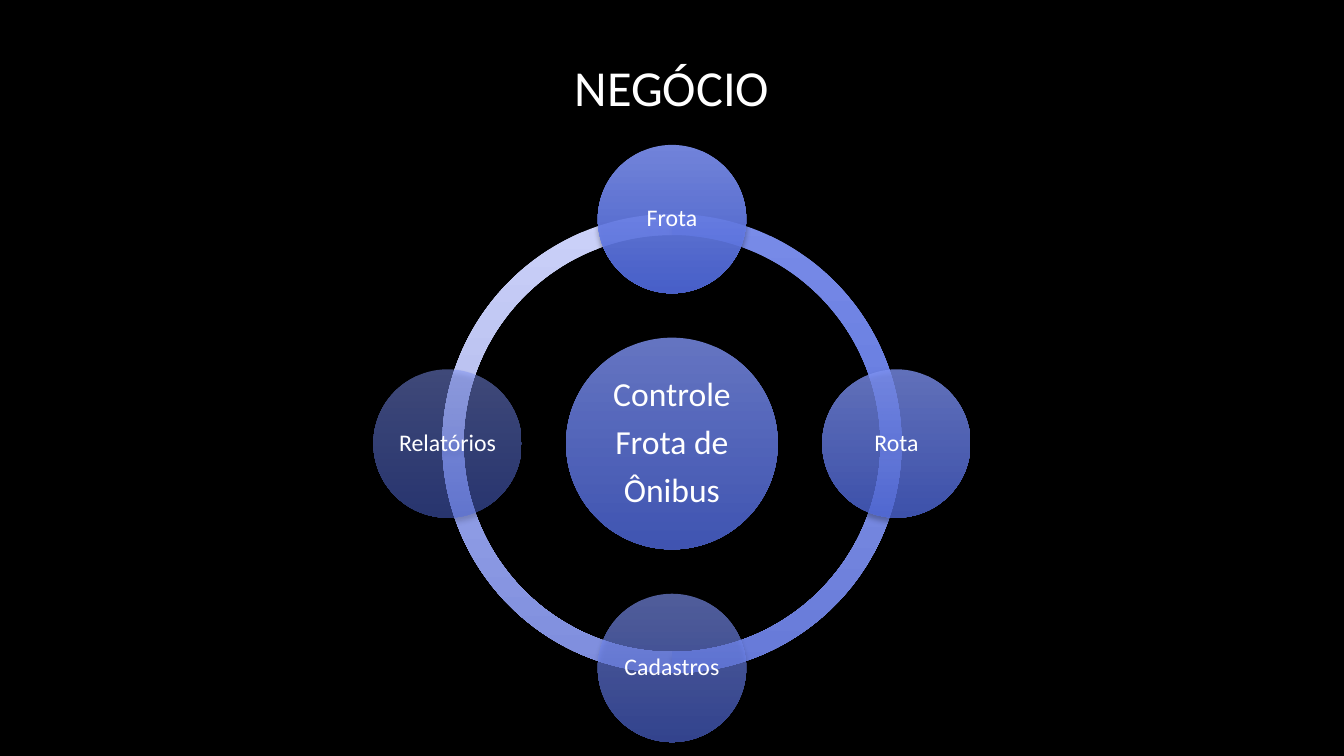
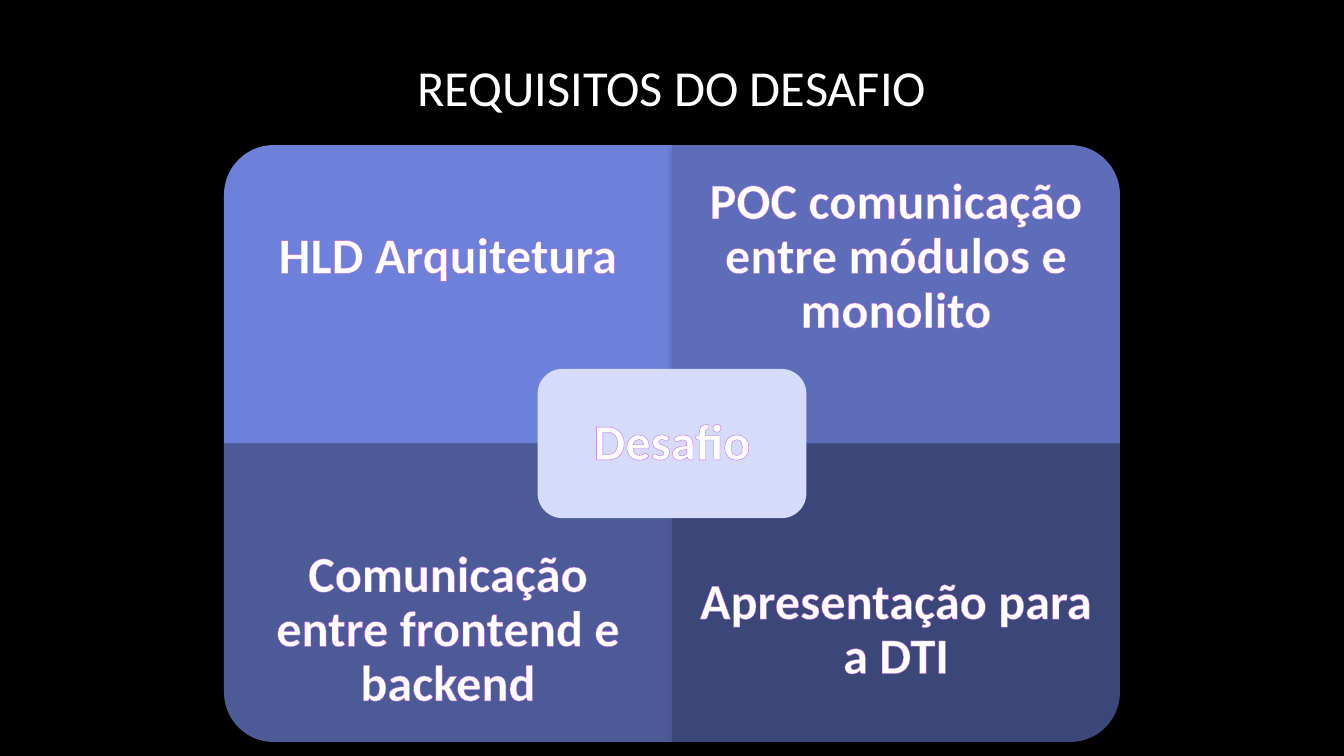
import dataclasses
import math

import lxml.etree
import pptx
import pptx.dml.color
import pptx.enum.shapes
import pptx.enum.text
import pptx.oxml.ns
import pptx.util

Pt = pptx.util.Pt
Shapes = pptx.enum.shapes.MSO_SHAPE
qn = pptx.oxml.ns.qn


@dataclasses.dataclass(frozen=True)
class Theme:
    font: str = "Calibri"
    background: str = "000000"
    text: str = "FFFFFF"
    outline: str = "C363E8"
    shadow: str = "000000"
    sphere: tuple = ("7E92F2", "506ADE")
    quadrant: str = "798FF2"
    core: str = "D7DBFA"
    # Ring quarters, clockwise from the right-hand point
    ring: tuple = (("93A2EE", "6679D8"), ("AFBAF4", "7E8DDD"),
                   ("CCD2F9", "99A3DF"), ("798CE8", "4E66D3"))
    heading_size: int = 36
    hub_size: int = 24
    satellite_size: int = 17


THEME = Theme()
WIDTH, HEIGHT = 960, 540
CENTER_X, CENTER_Y = WIDTH / 2, 316.8
OPACITIES = (90, 77, 63, 50)


def color(value):
    return pptx.dml.color.RGBColor.from_string(value)


def add_xml(parent, tag, **attributes):
    return lxml.etree.SubElement(
        parent, qn(tag), {name: str(value) for name, value in attributes.items()})


class Deck:
    def __init__(self, theme):
        self.theme = theme
        self.presentation = pptx.Presentation()
        self.presentation.slide_width = Pt(WIDTH)
        self.presentation.slide_height = Pt(HEIGHT)
        self.slide = None

    def add_slide(self, title):
        self.slide = self.presentation.slides.add_slide(
            self.presentation.slide_layouts[6])
        fill = self.slide.background.fill
        fill.solid()
        fill.fore_color.rgb = color(self.theme.background)
        box = self.text_box(CENTER_X, 62, 582, 100)
        self.add_text(box, [title], self.theme.heading_size, spaced=False)

    def text_box(self, center_x, center_y, width, height):
        return self.slide.shapes.add_textbox(
            Pt(center_x - width / 2), Pt(center_y - height / 2),
            Pt(width), Pt(height))

    def shape(self, kind, center_x, center_y, width, height, colors,
              opacity=100, shadow=True):
        """Add a borderless shape; two colors make a top-to-bottom gradient."""
        shape = self.slide.shapes.add_shape(
            kind, Pt(center_x - width / 2), Pt(center_y - height / 2),
            Pt(width), Pt(height))
        if len(colors) == 2:
            shape.fill.gradient()
            shape.fill.gradient_angle = 270
            for stop, value in zip(shape.fill.gradient_stops, colors):
                stop.color.rgb = color(value)
        else:
            shape.fill.solid()
            shape.fill.fore_color.rgb = color(colors[0])
        properties = shape._element.spPr
        if opacity < 100:
            for node in list(properties.iter(qn("a:srgbClr"))):
                add_xml(node, "a:alpha", val=opacity * 1000)
        shape.line.fill.background()
        shape.shadow.inherit = False
        if shadow:
            outer = add_xml(properties.find(qn("a:effectLst")), "a:outerShdw",
                            blurRad=Pt(4), dist=Pt(3), dir=90 * 60000,
                            rotWithShape=0)
            shade = add_xml(outer, "a:srgbClr", val=self.theme.shadow)
            add_xml(shade, "a:alpha", val=35000)
        return shape

    def add_text(self, shape, lines, size, inset=None, outlined=False, spaced=True):
        frame = shape.text_frame
        frame.word_wrap = True
        frame.vertical_anchor = pptx.enum.text.MSO_ANCHOR.MIDDLE
        if inset is not None:
            frame.margin_left = frame.margin_right = Pt(inset)
            frame.margin_top = frame.margin_bottom = Pt(inset)
        for index, line in enumerate(lines):
            paragraph = frame.add_paragraph() if index else frame.paragraphs[0]
            paragraph.alignment = pptx.enum.text.PP_ALIGN.CENTER
            if spaced:
                paragraph.line_spacing = 0.9
                paragraph.space_after = Pt(0.35 * size)
            run = paragraph.add_run()
            run.text = line
            run.font.name = self.theme.font
            run.font.size = Pt(size)
            run.font.color.rgb = color(self.theme.text)
            if outlined:
                run.font.bold = True
                self.outline(run)

    def outline(self, run):
        properties = run._r.get_or_add_rPr()
        line = add_xml(properties, "a:ln", w=Pt(0.8))
        add_xml(add_xml(line, "a:solidFill"), "a:srgbClr", val=self.theme.outline)
        properties.insert(0, line)

    def ring_quarter(self, start, colors):
        arc = self.shape(Shapes.BLOCK_ARC, CENTER_X, CENTER_Y, 328, 328, colors)
        # Angle adjustments count 0.6 per degree
        arc.adjustments[0] = start * 0.6
        arc.adjustments[1] = (start + 90) % 360 * 0.6
        arc.adjustments[2] = 0.046

    def sphere(self, center_x, center_y, diameter, lines, size, opacity):
        circle = self.shape(Shapes.OVAL, center_x, center_y, diameter, diameter,
                            self.theme.sphere, opacity)
        self.add_text(circle, lines, size, inset=1.5)

    def quadrant(self, side, level, rotation, label, opacity):
        """Add a matrix cell; side and level are -1 or 1 from the center."""
        width, height = 320, 213.2
        center_x = CENTER_X + side * width / 2
        center_y = CENTER_Y + level * height / 2
        size = (height, width) if rotation % 180 else (width, height)
        cell = self.shape(Shapes.ROUND_1_RECTANGLE, center_x, center_y, *size,
                          [self.theme.quadrant], opacity)
        cell.rotation = rotation
        # The label takes the outer three quarters of the cell
        box = self.text_box(center_x, center_y + level * height / 8,
                            width, height * 0.75)
        self.add_text(box, [label], self.theme.heading_size, 20, outlined=True)

    def core(self, label):
        shape = self.shape(Shapes.ROUNDED_RECTANGLE, CENTER_X, CENTER_Y,
                           192, 106.6, [self.theme.core], shadow=False)
        self.add_text(shape, [label], self.theme.heading_size, 10.8, outlined=True)


def build_business(deck):
    deck.add_slide("NEGÓCIO")
    for quarter in (2, 1, 0, 3):
        deck.ring_quarter(quarter * 90, deck.theme.ring[quarter])
    deck.sphere(CENTER_X, CENTER_Y, 151.2, ["Controle", "Frota de", "Ônibus"],
                deck.theme.hub_size, 80)
    orbit = 160.3
    labels = ("Frota", "Rota", "Cadastros", "Relatórios")
    for index, (label, opacity) in enumerate(zip(labels, OPACITIES)):
        angle = math.radians(index * 90 - 90)
        deck.sphere(CENTER_X + orbit * math.cos(angle),
                    CENTER_Y + orbit * math.sin(angle),
                    106, [label], deck.theme.satellite_size, opacity)


def build_requirements(deck):
    deck.add_slide("REQUISITOS DO DESAFIO")
    cells = (
        (-1, -1, 270, "HLD Arquitetura"),
        (1, -1, 0, "POC comunicação entre módulos e monolito"),
        (-1, 1, 180, "Comunicação entre frontend e backend"),
        (1, 1, 90, "Apresentação para a DTI"),
    )
    for cell, opacity in zip(cells, OPACITIES):
        deck.quadrant(*cell, opacity)
    deck.core("Desafio")


def main():
    deck = Deck(THEME)
    build_business(deck)
    build_requirements(deck)
    deck.presentation.save("out.pptx")


if __name__ == "__main__":
    main()
